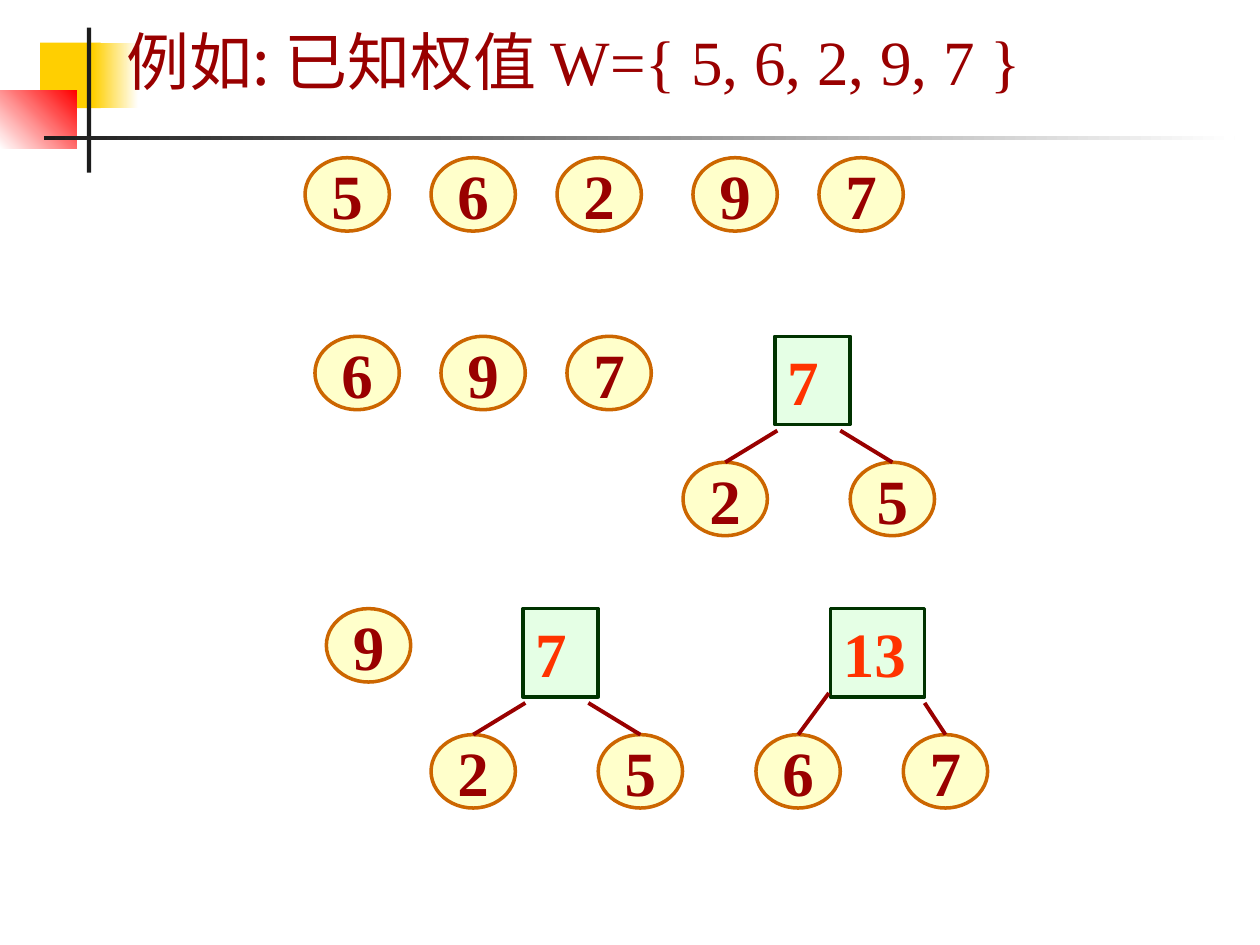
from dataclasses import dataclass

from lxml.etree import SubElement
from pptx import Presentation
from pptx.dml.color import RGBColor
from pptx.enum.shapes import MSO_CONNECTOR, MSO_SHAPE
from pptx.enum.text import MSO_ANCHOR, PP_ALIGN
from pptx.oxml.ns import qn
from pptx.shapes.autoshape import Shape
from pptx.slide import Slide
from pptx.text.text import _Run
from pptx.util import Cm, Pt

LATIN_FONT = "Times New Roman"
CHINESE_FONT = "Noto Sans CJK SC"
DARK_RED = "990000"
LEAF_WIDTH, LEAF_HEIGHT = 1.7, 1.48
ROOT_HEIGHT = 1.78
LEVEL_DROP = 2.54
ROW_TOPS = (3.18, 6.78, 12.27)


@dataclass(frozen=True)
class Bar:
    left: float
    top: float
    width: float
    height: float
    colors: tuple[str, ...]
    angle: float = 0


@dataclass(frozen=True)
class LeafRow:
    top: float
    left: float
    weights: tuple[str, ...]


@dataclass(frozen=True)
class Branch:
    """Start offset from the root's top left corner, and the leaf it reaches."""
    start_x: float
    start_y: float
    leaf_left: float
    weight: str


@dataclass(frozen=True)
class Tree:
    left: float
    top: float
    width: float
    weight: str
    branches: tuple[Branch, ...]


DECORATION = (
    Bar(0.81, 0.86, 1.22, 1.32, ("FFCF01",)),
    Bar(1.88, 0.86, 0.91, 1.32, ("FFCF01", "FFFFFF")),
    Bar(0, 1.83, 1.55, 1.17, ("FFFFFF", "FF0000"), 45),
    Bar(1.75, 0.56, 0.09, 2.92, ("1C1C1C",)),
    Bar(0.89, 2.74, 24, 0.09, ("1C1C1C", "FFFFFF")),
)
LEAF_ROWS = (
    LeafRow(ROW_TOPS[0], 6.15, ("5", "6", "2")),
    LeafRow(ROW_TOPS[0], 13.97, ("9", "7")),
    LeafRow(ROW_TOPS[1], 6.35, ("6", "9", "7")),
    LeafRow(ROW_TOPS[2], 6.58, ("9",)),
)
# Branch positions are relative to the root, so the same pair serves both trees of weight 7.
BRANCHES_OF_7 = (Branch(0.05, 1.9, -1.85, "2"), Branch(1.32, 1.9, 1.52, "5"))
BRANCHES_OF_13 = (Branch(-0.03, 1.7, -1.5, "6"), Branch(1.9, 1.9, 1.47, "7"))
TREES = (
    Tree(15.62, ROW_TOPS[1], 1.52, "7", BRANCHES_OF_7),
    Tree(10.54, ROW_TOPS[2], 1.52, "7", BRANCHES_OF_7),
    Tree(16.74, ROW_TOPS[2], 1.9, "13", BRANCHES_OF_13),
)


def rgb(color: str) -> RGBColor:
    return RGBColor.from_string(color)


def format_run(run: _Run, color: str, font_name: str = LATIN_FONT, bold: bool = False) -> None:
    run.font.size = Pt(36)
    run.font.name = font_name
    run.font.bold = bold
    run.font.color.rgb = rgb(color)


def add_bar(slide: Slide, bar: Bar) -> None:
    shape = slide.shapes.add_shape(
        MSO_SHAPE.RECTANGLE, Cm(bar.left), Cm(bar.top), Cm(bar.width), Cm(bar.height))
    shape.shadow.inherit = False
    shape.line.fill.background()
    if len(bar.colors) == 1:
        shape.fill.solid()
        shape.fill.fore_color.rgb = rgb(bar.colors[0])
        return
    shape.fill.gradient()
    shape.fill.gradient_angle = bar.angle
    for stop, position, color in zip(shape.fill.gradient_stops, (0, 1), bar.colors):
        stop.position = position
        stop.color.rgb = rgb(color)


def add_node(slide: Slide, kind: MSO_SHAPE, left: float, top: float, width: float,
             height: float, weight: str, fill: str, line: str, text_color: str) -> Shape:
    """Add a half transparent outlined shape that holds a bold weight."""
    node = slide.shapes.add_shape(kind, Cm(left), Cm(top), Cm(width), Cm(height))
    node.shadow.inherit = False
    node.fill.solid()
    node.fill.fore_color.rgb = rgb(fill)
    color_element = node.fill._xPr.find(qn("a:solidFill"))[0]
    SubElement(color_element, qn("a:alpha"), val="50000")
    node.line.color.rgb = rgb(line)
    node.line.width = Pt(2)
    node.text_frame.text = weight
    format_run(node.text_frame.paragraphs[0].runs[0], text_color, bold=True)
    return node


def add_leaf(slide: Slide, left: float, top: float, weight: str) -> None:
    leaf = add_node(slide, MSO_SHAPE.OVAL, left, top, LEAF_WIDTH, LEAF_HEIGHT,
                    weight, "FFFF99", "CC6600", DARK_RED)
    leaf.text_frame.word_wrap = False
    leaf.text_frame.vertical_anchor = MSO_ANCHOR.MIDDLE
    leaf.text_frame.paragraphs[0].alignment = PP_ALIGN.CENTER


def add_edge(slide: Slide, start: tuple[float, float], end: tuple[float, float]) -> None:
    edge = slide.shapes.add_connector(
        MSO_CONNECTOR.STRAIGHT, Cm(start[0]), Cm(start[1]), Cm(end[0]), Cm(end[1]))
    edge.line.color.rgb = rgb(DARK_RED)
    edge.line.width = Pt(2.25)
    SubElement(edge._element.spPr, qn("a:effectLst"))


def add_tree(slide: Slide, tree: Tree) -> None:
    root = add_node(slide, MSO_SHAPE.RECTANGLE, tree.left, tree.top, tree.width, ROOT_HEIGHT,
                    tree.weight, "CCFFCC", "003300", "FF3300")
    root.text_frame.word_wrap = True
    root.text_frame.vertical_anchor = MSO_ANCHOR.TOP
    root.text_frame.paragraphs[0].alignment = PP_ALIGN.LEFT
    leaf_top = tree.top + LEVEL_DROP
    for branch in tree.branches:
        leaf_left = tree.left + branch.leaf_left
        add_leaf(slide, leaf_left, leaf_top, branch.weight)
        add_edge(slide, (tree.left + branch.start_x, tree.top + branch.start_y),
                 (leaf_left + LEAF_WIDTH / 2, leaf_top))


def add_title(slide: Slide) -> None:
    title = slide.shapes.add_textbox(Cm(2.31), Cm(0.33), Cm(20.68), Cm(1.78))
    title.text_frame.word_wrap = False
    paragraph = title.text_frame.paragraphs[0]
    for text, font_name in (("例如: 已知权值 ", CHINESE_FONT),
                            ("W={ 5, 6, 2, 9, 7 }", LATIN_FONT)):
        run = paragraph.add_run()
        run.text = text
        format_run(run, DARK_RED, font_name)
        SubElement(run.font._element, qn("a:ea"), typeface=font_name)


def main() -> None:
    presentation = Presentation()
    presentation.slide_width, presentation.slide_height = Cm(25.4), Cm(19.05)
    slide = presentation.slides.add_slide(presentation.slide_layouts[6])
    for bar in DECORATION:
        add_bar(slide, bar)
    add_title(slide)
    for row in LEAF_ROWS:
        for index, weight in enumerate(row.weights):
            add_leaf(slide, row.left + index * LEVEL_DROP, row.top, weight)
    for tree in TREES:
        add_tree(slide, tree)
    presentation.save("out.pptx")


if __name__ == "__main__":
    main()
